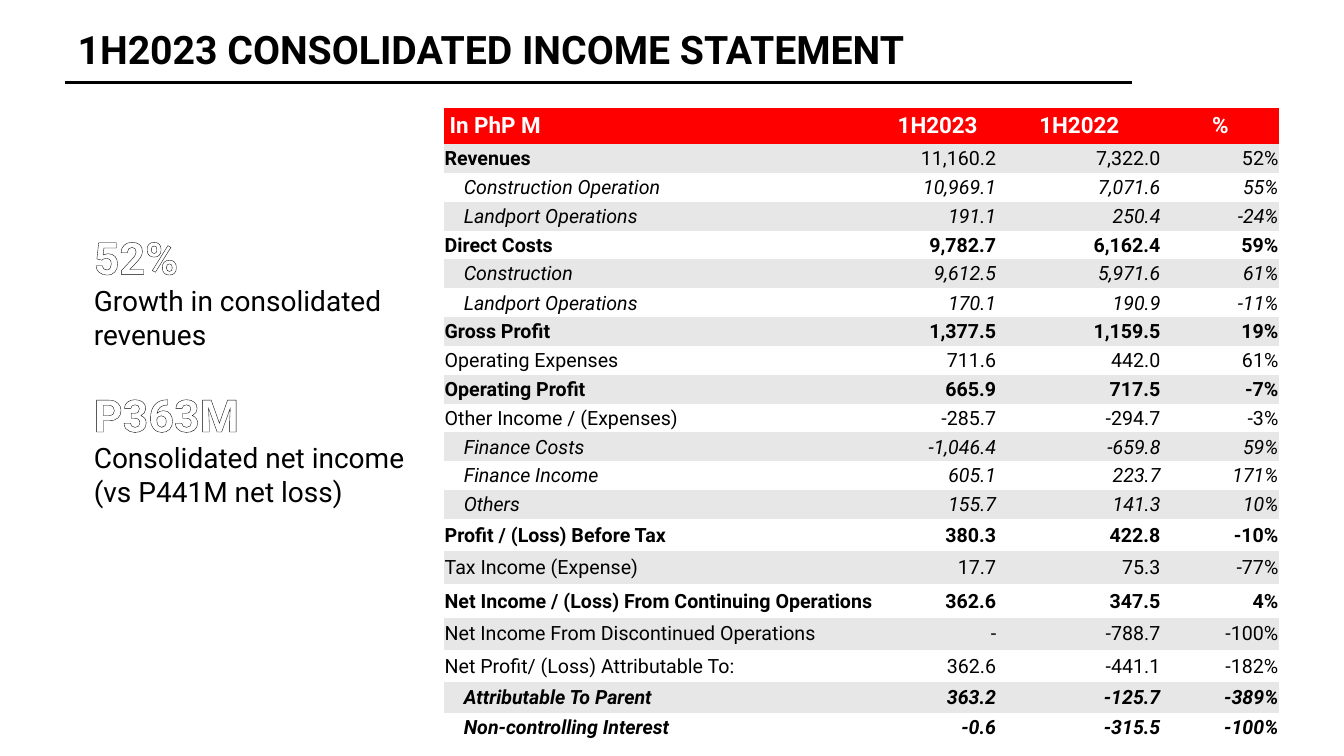
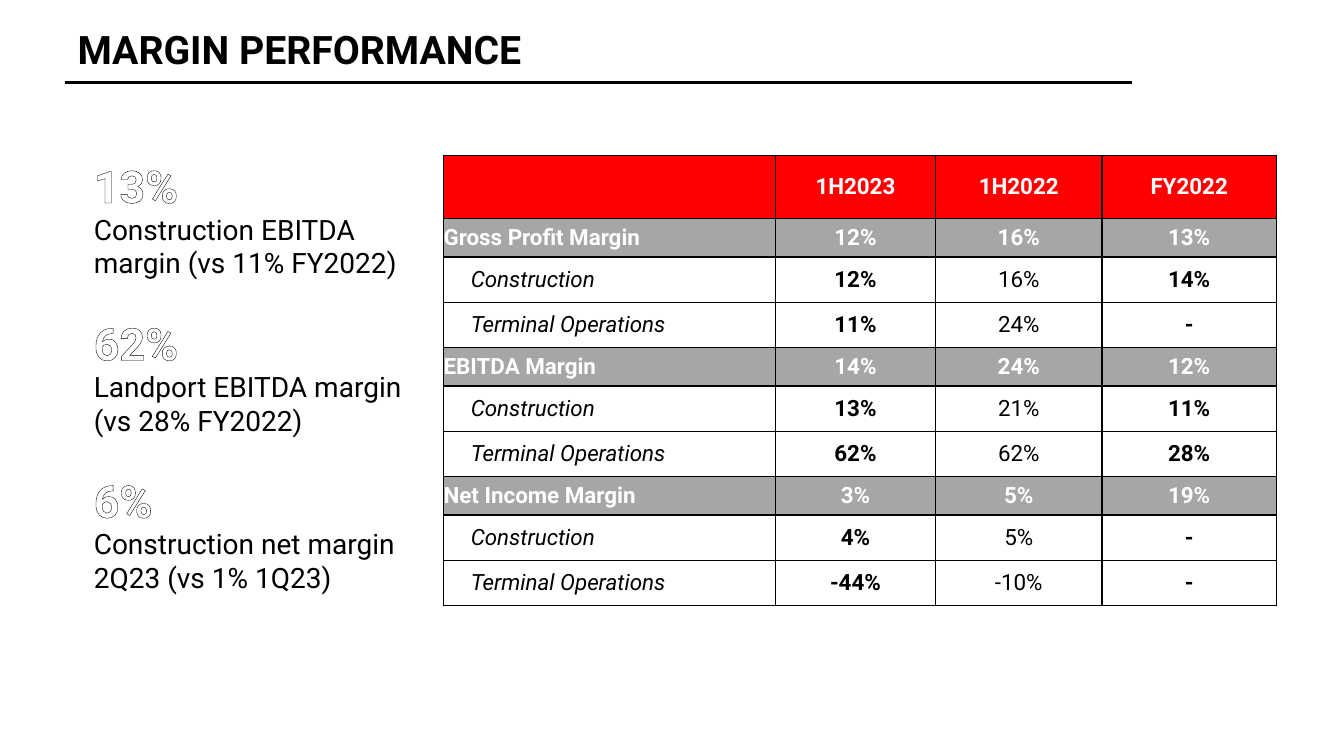
from dataclasses import dataclass, replace
from enum import Enum

from lxml.etree import SubElement
from pptx import Presentation
from pptx.dml.color import RGBColor
from pptx.enum.shapes import MSO_CONNECTOR
from pptx.enum.text import MSO_ANCHOR as Anchor, PP_ALIGN as Align
from pptx.oxml import parse_xml
from pptx.oxml.ns import nsdecls, qn
from pptx.slide import Slide
from pptx.table import Table, _Cell as Cell
from pptx.text.text import TextFrame, _Paragraph as Paragraph
from pptx.util import Emu, Pt

EMU_PER_PX = 9144
PLAIN_TABLE_STYLE = "{2D5ABB26-0587-4C30-8999-92F81FD0307C}"


@dataclass(frozen=True)
class Theme:
    font: str = "Roboto"
    ink: str = "000000"
    paper: str = "FFFFFF"
    header: str = "FF0000"
    band: str = "E7E7E7"
    section: str = "A6A6A6"
    title_size: int = 28
    figure_size: int = 32
    caption_size: int = 20
    large_cell_size: int = 16
    small_cell_size: int = 14
    rule_width: float = 2.25
    outline_width: float = 0.8
    border_width: float = 1
    highlight_gap: int = 26


THEME = Theme()


@dataclass(frozen=True)
class TextStyle:
    size: int
    color: str = THEME.ink
    bold: bool = False
    italic: bool = False
    outlined: bool = False


@dataclass(frozen=True)
class CellLook:
    style: TextStyle
    fill: str
    align: Align = Align.LEFT
    indent: int = 0
    inset: int = 0
    bordered: bool = False


@dataclass(frozen=True)
class Highlight:
    figure: str
    caption: str


class Level(Enum):
    """Emphasis of an income statement line: bold, italic, indent in px."""
    LINE = (False, False, 0)
    TOTAL = (True, False, 0)
    DETAIL = (False, True, 19)
    RESULT = (True, True, 19)


@dataclass(frozen=True)
class StatementLine:
    label: str
    values: tuple[str, str, str]
    level: Level = Level.LINE
    bold_label: bool = False


@dataclass(frozen=True)
class MarginLine:
    label: str
    values: tuple[str, str, str]


@dataclass(frozen=True)
class MarginGroup:
    total: MarginLine
    details: tuple[MarginLine, MarginLine]


TITLE = TextStyle(THEME.title_size, bold=True)
FIGURE = TextStyle(THEME.figure_size, THEME.paper, bold=True, outlined=True)
CAPTION = TextStyle(THEME.caption_size)
WHITE_CELL = TextStyle(THEME.large_cell_size, THEME.paper, bold=True)
DARK_CELL = TextStyle(THEME.large_cell_size)
STATEMENT_CELL = TextStyle(THEME.small_cell_size)

STATEMENT_HEADS = ("In PhP M", "1H2023", "1H2022", "%")
STATEMENT = (
    StatementLine("Revenues", ("11,160.2", "7,322.0", "52%"), bold_label=True),
    StatementLine("Construction Operation", ("10,969.1", "7,071.6", "55%"), Level.DETAIL),
    StatementLine("Landport Operations", ("191.1", "250.4", "-24%"), Level.DETAIL),
    StatementLine("Direct Costs", ("9,782.7", "6,162.4", "59%"), Level.TOTAL),
    StatementLine("Construction", ("9,612.5", "5,971.6", "61%"), Level.DETAIL),
    StatementLine("Landport Operations", ("170.1", "190.9", "-11%"), Level.DETAIL),
    StatementLine("Gross Profit", ("1,377.5", "1,159.5", "19%"), Level.TOTAL),
    StatementLine("Operating Expenses", ("711.6", "442.0", "61%")),
    StatementLine("Operating Profit", ("665.9", "717.5", "-7%"), Level.TOTAL),
    StatementLine("Other Income / (Expenses)", ("-285.7", "-294.7", "-3%")),
    StatementLine("Finance Costs", ("-1,046.4", "-659.8", "59%"), Level.DETAIL),
    StatementLine("Finance Income", ("605.1", "223.7", "171%"), Level.DETAIL),
    StatementLine("Others", ("155.7", "141.3", "10%"), Level.DETAIL),
    StatementLine("Profit / (Loss) Before Tax", ("380.3", "422.8", "-10%"), Level.TOTAL),
    StatementLine("Tax Income (Expense)", ("17.7", "75.3", "-77%")),
    StatementLine("Net Income / (Loss) From Continuing Operations",
                  ("362.6", "347.5", "4%"), Level.TOTAL),
    StatementLine("Net Income From Discontinued Operations", ("-", "-788.7", "-100%")),
    StatementLine("Net Profit/ (Loss) Attributable To:", ("362.6", "-441.1", "-182%")),
    StatementLine("Attributable To Parent", ("363.2", "-125.7", "-389%"), Level.RESULT),
    StatementLine("Non-controlling Interest", ("-0.6", "-315.5", "-100%"), Level.RESULT),
)
STATEMENT_HIGHLIGHTS = (
    Highlight("52%", "Growth in consolidated revenues"),
    Highlight("P363M", "Consolidated net income (vs P441M net loss)"),
)

MARGIN_HEADS = ("", "1H2023", "1H2022", "FY2022")
MARGINS = (
    MarginGroup(MarginLine("Gross Profit Margin", ("12%", "16%", "13%")),
                (MarginLine("Construction", ("12%", "16%", "14%")),
                 MarginLine("Terminal Operations", ("11%", "24%", "-")))),
    MarginGroup(MarginLine("EBITDA Margin", ("14%", "24%", "12%")),
                (MarginLine("Construction", ("13%", "21%", "11%")),
                 MarginLine("Terminal Operations", ("62%", "62%", "28%")))),
    MarginGroup(MarginLine("Net Income Margin", ("3%", "5%", "19%")),
                (MarginLine("Construction", ("4%", "5%", "-")),
                 MarginLine("Terminal Operations", ("-44%", "-10%", "-")))),
)
MARGIN_HIGHLIGHTS = (
    Highlight("13%", "Construction EBITDA margin (vs 11% FY2022)"),
    Highlight("62%", "Landport EBITDA margin (vs 28% FY2022)"),
    Highlight("6%", "Construction net margin 2Q23 (vs 1% 1Q23)"),
)


def px(length: int) -> Emu:
    return Emu(length * EMU_PER_PX)


def split(total: int, parts: int) -> list[int]:
    """Divide a length into whole-px parts that add up to it exactly."""
    edges = [round(total * i / parts) for i in range(parts + 1)]
    return [end - start for start, end in zip(edges, edges[1:])]


def solid_line(tag: str, points: float, color: str):
    return parse_xml(
        f'<a:{tag} {nsdecls("a")} w="{Pt(points)}"><a:solidFill>'
        f'<a:srgbClr val="{color}"/></a:solidFill></a:{tag}>')


def add_run(paragraph: Paragraph, text: str, style: TextStyle) -> None:
    run = paragraph.add_run()
    run.text = text
    run.font.name = THEME.font
    run.font.size = Pt(style.size)
    run.font.bold = style.bold
    run.font.italic = style.italic
    run.font.color.rgb = RGBColor.from_string(style.color)
    if style.outlined:
        run.font._element.insert(0, solid_line("ln", THEME.outline_width, THEME.ink))


def add_text_frame(slide: Slide, left: int, top: int, width: int, height: int) -> TextFrame:
    frame = slide.shapes.add_textbox(px(left), px(top), px(width), px(height)).text_frame
    frame.word_wrap = True
    frame.margin_left = frame.margin_right = frame.margin_top = frame.margin_bottom = 0
    return frame


def add_titled_slide(deck: Presentation, title: str) -> Slide:
    slide = deck.slides.add_slide(deck.slide_layouts[6])
    rule = slide.shapes.add_connector(MSO_CONNECTOR.STRAIGHT, px(64), px(82), px(1123), px(82))
    rule.line.color.rgb = RGBColor.from_string(THEME.ink)
    rule.line.width = Pt(THEME.rule_width)
    SubElement(rule._element.spPr, qn("a:effectLst"))

    heading = add_text_frame(slide, 77, 15, 1083, 72)
    heading.vertical_anchor = Anchor.MIDDLE
    heading.paragraphs[0].line_spacing = 0.9
    add_run(heading.paragraphs[0], title, TITLE)
    return slide


def add_highlights(slide: Slide, top: int, highlights: tuple[Highlight, ...]) -> None:
    frame = add_text_frame(slide, 93, top, 332, 154 * len(highlights))
    for i, highlight in enumerate(highlights):
        figure = frame.add_paragraph() if i else frame.paragraphs[0]
        figure.space_before = Pt(THEME.highlight_gap if i else 0)
        add_run(figure, highlight.figure, FIGURE)
        add_run(frame.add_paragraph(), highlight.caption, CAPTION)


def add_plain_table(slide: Slide, top: int, columns: list[int], rows: list[int]) -> Table:
    table = slide.shapes.add_table(len(rows), len(columns), px(440), px(top),
                                   px(sum(columns)), px(sum(rows))).table
    table.first_row = table.horz_banding = False
    table._tbl.tblPr.find(qn("a:tableStyleId")).text = PLAIN_TABLE_STYLE
    for column, width in zip(table.columns, columns):
        column.width = px(width)
    for row, height in zip(table.rows, rows):
        row.height = px(height)
    return table


def fill_cell(cell: Cell, text: str, look: CellLook) -> None:
    cell.fill.solid()
    cell.fill.fore_color.rgb = RGBColor.from_string(look.fill)
    cell.vertical_anchor = Anchor.MIDDLE
    cell.margin_left = px(look.inset + look.indent)
    cell.margin_right = cell.margin_top = px(look.inset)
    cell.margin_bottom = 0
    if look.bordered:
        for i, side in enumerate(("lnL", "lnR", "lnT", "lnB")):
            border = solid_line(side, THEME.border_width, THEME.ink)
            cell._tc.get_or_add_tcPr().insert(i, border)
    if text:
        paragraph = cell.text_frame.paragraphs[0]
        paragraph.alignment = look.align
        add_run(paragraph, text, look.style)


def fill_row(table: Table, row: int, texts: tuple[str, ...], looks: list[CellLook]) -> None:
    for column, (text, look) in enumerate(zip(texts, looks)):
        fill_cell(table.cell(row, column), text, look)


def build_income_statement(deck: Presentation) -> None:
    slide = add_titled_slide(deck, "1H2023 CONSOLIDATED INCOME STATEMENT")
    heights = [36, *split(372, 13), 32, 33, 33, 32, 32, 31, 27]
    table = add_plain_table(slide, 107, [431, 118, 163, 117], heights)

    head = CellLook(WHITE_CELL, THEME.header, Align.CENTER)
    first_head = replace(head, align=Align.LEFT, indent=6)
    fill_row(table, 0, STATEMENT_HEADS, [first_head] + [head] * 3)
    for row, line in enumerate(STATEMENT, start=1):
        bold, italic, indent = line.level.value
        style = replace(STATEMENT_CELL, bold=bold, italic=italic)
        fill = THEME.band if row % 2 else THEME.paper
        value = CellLook(style, fill, Align.RIGHT, inset=1)
        label = replace(value, style=replace(style, bold=bold or line.bold_label),
                        align=Align.LEFT, indent=indent)
        fill_row(table, row, (line.label, *line.values), [label] + [value] * 3)
    add_highlights(slide, 228, STATEMENT_HIGHLIGHTS)


def build_margins(deck: Presentation) -> None:
    slide = add_titled_slide(deck, "MARGIN PERFORMANCE")
    heights = [63] + [38, 45, 45] * len(MARGINS)
    table = add_plain_table(slide, 154, [329, 159, 165, 173], heights)

    head = CellLook(WHITE_CELL, THEME.header, Align.CENTER, bordered=True)
    total = replace(head, fill=THEME.section)
    total_label = replace(total, align=Align.LEFT)
    regular = replace(head, style=DARK_CELL, fill=THEME.paper)
    strong = replace(regular, style=replace(DARK_CELL, bold=True))
    detail_label = replace(regular, style=replace(DARK_CELL, italic=True),
                           align=Align.LEFT, indent=27)

    fill_row(table, 0, MARGIN_HEADS, [head] * 4)
    row = 1
    for group in MARGINS:
        for line in (group.total, *group.details):
            looks = ([total_label] + [total] * 3 if line is group.total
                     else [detail_label, strong, regular, strong])
            fill_row(table, row, (line.label, *line.values), looks)
            row += 1
    add_highlights(slide, 157, MARGIN_HIGHLIGHTS)


def main() -> None:
    deck = Presentation()
    deck.slide_width, deck.slide_height = px(1333), px(750)
    build_income_statement(deck)
    build_margins(deck)
    deck.save("out.pptx")


if __name__ == "__main__":
    main()
